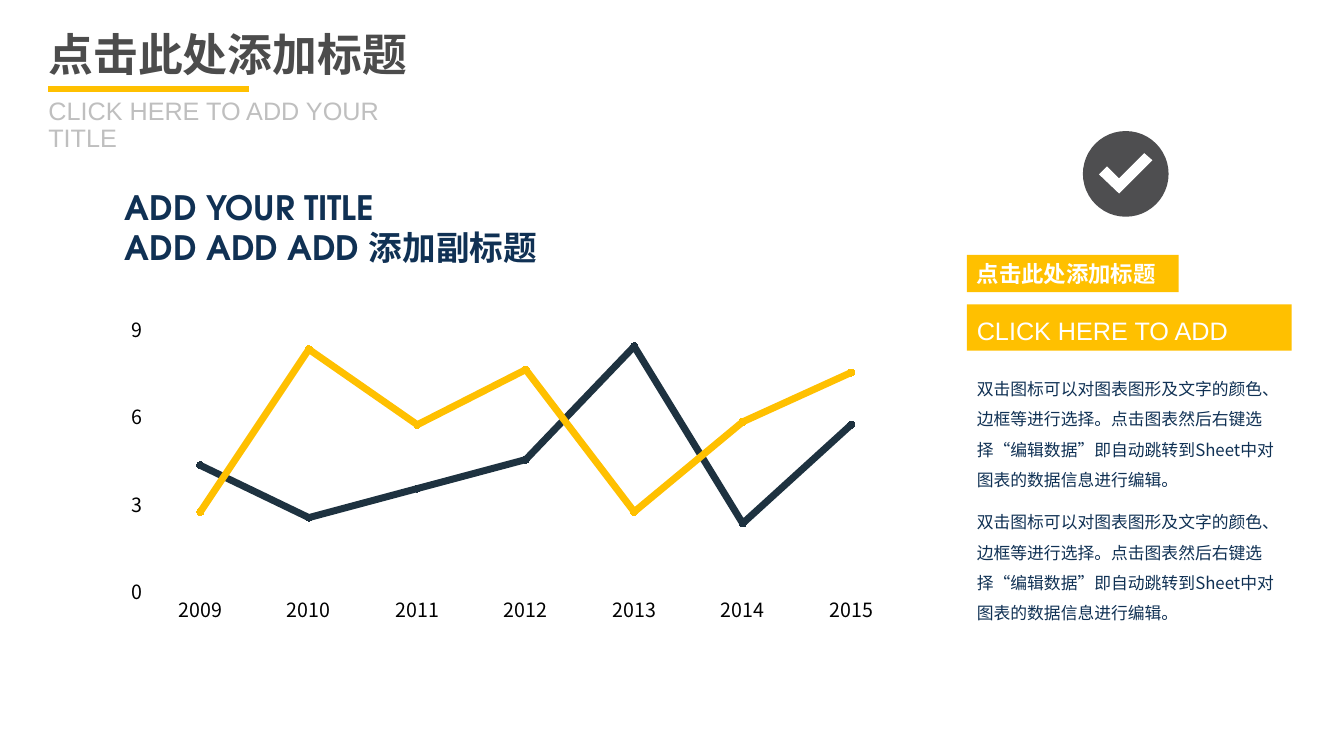
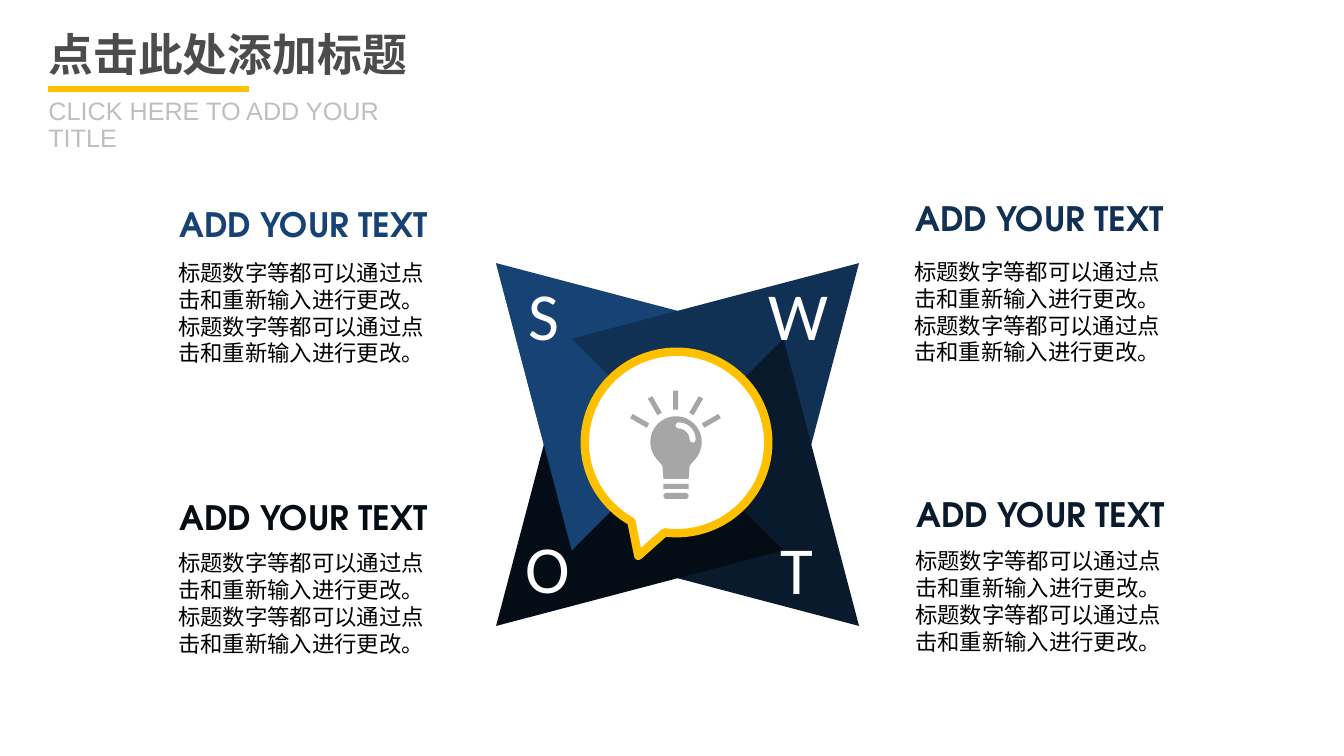
from dataclasses import dataclass
from math import cos, radians, sin

from lxml.etree import SubElement
from pptx import Presentation
from pptx.chart.data import CategoryChartData
from pptx.dml.color import RGBColor
from pptx.enum.chart import XL_CHART_TYPE as Chart, XL_MARKER_STYLE as Marker, XL_TICK_MARK as Tick
from pptx.enum.shapes import MSO_CONNECTOR as Connector, MSO_SHAPE as Shape
from pptx.enum.text import MSO_ANCHOR as Anchor, MSO_AUTO_SIZE as AutoSize, PP_ALIGN as Align
from pptx.oxml.ns import qn
from pptx.util import Emu, Pt


@dataclass(frozen=True)
class Theme:
    yellow: str = "FFC000"
    white: str = "FFFFFF"
    black: str = "000000"
    title: str = "4C4C4C"
    subtitle: str = "BFBFBF"
    badge: str = "4E4E50"
    icon: str = "A6A6A6"
    blue: str = "164374"
    navy: str = "103154"
    ink: str = "091A2D"
    night: str = "040D16"
    slate: str = "1E3240"
    cjk: str = "Noto Sans CJK SC"
    latin: str = "Arial"
    display: str = "TeX Gyre Adventor"
    letter: str = "Calibri"
    title_size: int = 32
    heading_size: int = 24
    subtitle_size: int = 18
    body_size: int = 16
    axis_size: int = 14
    note_size: int = 12
    letter_size: int = 48


T = Theme()


def px(n):
    return Emu(round(n * 9144))


def rgb(color):
    return RGBColor.from_string(color)


def write(tf, text, size, color, font=T.cjk, bold=False, spacing=None,
          anchor=Anchor.TOP, wrap=True, fit=AutoSize.NONE):
    tf.word_wrap = wrap
    tf.auto_size = fit
    tf.vertical_anchor = anchor
    for i, line in enumerate(text.split("\n")):
        p = tf.add_paragraph() if i else tf.paragraphs[0]
        p.alignment = Align.LEFT
        p.space_before = Pt(0)
        if spacing:
            p.line_spacing = spacing
        r = p.add_run()
        r.text = line
        r.font.size = Pt(size)
        r.font.bold = bold
        r.font.color.rgb = rgb(color)
        r.font.name = font
        SubElement(r.font._element, qn("a:ea")).set("typeface", T.cjk)


class Deck:
    def __init__(self):
        self.prs = Presentation()
        self.prs.slide_width, self.prs.slide_height = px(1333), px(750)

    def new_slide(self, title, subtitle):
        self.slide = self.prs.slides.add_slide(self.prs.slide_layouts[2])
        self.shapes = self.slide.shapes
        self.placeholder(0, (38, 27, 539, 60), title, size=T.title_size, color=T.title,
                         bold=True, spacing=0.9, anchor=Anchor.MIDDLE)
        self.placeholder(1, (38, 93, 375, 46), subtitle, size=T.subtitle_size,
                         color=T.subtitle, font=T.latin, spacing=0.9)
        self.line(48, 88, 247, 88, T.yellow, 4.5)

    def placeholder(self, idx, box, text, **fmt):
        sp = self.slide.placeholders[idx]
        sp.left, sp.top, sp.width, sp.height = map(px, box)
        write(sp.text_frame, text, **fmt)

    def line(self, x1, y1, x2, y2, color, width):
        c = self.shapes.add_connector(Connector.STRAIGHT, px(x1), px(y1), px(x2), px(y2))
        c.line.color.rgb = rgb(color)
        c.line.width = Pt(width)
        SubElement(c._element.spPr, qn("a:effectLst"))

    def text(self, box, text, **fmt):
        sp = self.shapes.add_textbox(*map(px, box))
        write(sp.text_frame, text, **fmt)

    def label(self, box, text, **fmt):
        self.text(box, text, wrap=False, fit=AutoSize.SHAPE_TO_FIT_TEXT, **fmt)

    def paint(self, sp, fill=None, line=None, width=0):
        sp.shadow.inherit = False
        if fill:
            sp.fill.solid()
            sp.fill.fore_color.rgb = rgb(fill)
        else:
            sp.fill.background()
        if line:
            sp.line.color.rgb = rgb(line)
            sp.line.width = Pt(width)
        else:
            sp.line.fill.background()
        return sp

    def shape(self, kind, box, fill=None, **style):
        return self.paint(self.shapes.add_shape(kind, *map(px, box)), fill, **style)

    def polygon(self, points, fill):
        start, *rest = [(px(x), px(y)) for x, y in points]
        builder = self.shapes.build_freeform(*start)
        builder.add_line_segments(rest, close=True)
        return self.paint(builder.convert_to_shape(), fill)

    def line_chart(self, box, categories, series):
        data = CategoryChartData(number_format="0")
        data.categories = categories
        for name, values, *_ in series:
            data.add_series(name, values)
        chart = self.shapes.add_chart(Chart.LINE_MARKERS, *map(px, box), data).chart
        chart.has_legend = False
        chart.has_title = False
        chart.font.size = Pt(T.subtitle_size)
        chart.font.name = T.cjk
        chart.font.color.rgb = rgb(T.black)
        for axis in (chart.category_axis, chart.value_axis):
            axis.has_major_gridlines = False
            axis.major_tick_mark = axis.minor_tick_mark = Tick.NONE
            axis.format.line.fill.background()
            axis.tick_labels.font.size = Pt(T.axis_size)
        axis.minimum_scale, axis.maximum_scale, axis.major_unit = 0, 9, 3
        plot = chart.plots[0]
        plot.vary_by_categories = False
        for s, (_, _, color, dot) in zip(plot.series, series):
            s.smooth = False
            s.format.line.color.rgb = rgb(color)
            s.format.line.width = Pt(5)
            s.marker.style, s.marker.size = Marker.CIRCLE, 5
            s.marker.format.fill.solid()
            s.marker.format.fill.fore_color.rgb = rgb(dot)
            s.marker.format.line.fill.background()

    def check_badge(self):
        self.shape(Shape.OVAL, (1074, 130, 85, 85), T.badge)
        self.polygon([(1110, 192), (1090, 173), (1098, 165), (1110, 177),
                      (1135, 152), (1143, 159)], T.white)

    def swot_star(self, cx, cy, colors):
        petal = [(180, -180), (105, 105), (63, 63), (63, -63), (-63, -63), (-105, -105)]
        petals = []
        for _ in colors:
            petals.append([(cx + x, cy + y) for x, y in petal])
            petal = [(-y, x) for x, y in petal]
        for i in (3, 0, 1, 2):
            self.polygon(petals[i], colors[i])
        self.polygon(petals[3][:1] + petals[3][3:], colors[3])

    def light_bulb(self):
        page = self.shapes
        self.shapes = page.add_group_shape().shapes
        self.shape(Shape.OVAL, (645, 413, 51, 51), T.icon)
        self.polygon([(648, 451), (657, 462), (658, 475), (683, 475), (684, 462), (693, 451)], T.icon)
        shine = self.shape(Shape.ARC, (659, 422, 28, 28), line=T.white, width=4.3)
        shine.line._get_or_add_ln().set("cap", "rnd")
        self.shape(Shape.RECTANGLE, (658, 480, 25, 5), T.icon)
        self.shape(Shape.ROUNDED_RECTANGLE, (658, 489, 25, 6), T.icon).adjustments[0] = 0.5
        for angle in range(-60, 61, 30):
            x, y = 670 + 41 * sin(radians(angle)), 438 - 41 * cos(radians(angle))
            ray = self.shape(Shape.RECTANGLE, (x - 2.5, y - 9.5, 5, 19), T.icon)
            ray.rotation = angle
        self.shapes = page


def chart_slide(deck):
    deck.line_chart((114, 306, 800, 318), [str(y) for y in range(2009, 2016)], [
        ("Series 1", (4.3, 2.5, 3.5, 4.5, 8.4, 2.3, 5.7), T.slate, T.ink),
        ("Series 2", (2.7, 8.3, 5.7, 7.6, 2.7, 5.8, 7.5), T.yellow, T.yellow),
    ])
    note = "双击图标可以对图表图形及文字的颜色、边框等进行选择。点击图表然后右键选择“编辑数据”即自动跳转到Sheet中对图表的数据信息进行编辑。"
    for top in (361, 493):
        deck.text((959, top, 322, 131), note, size=T.note_size, color=T.navy, spacing=1.5)
    deck.check_badge()
    deck.text((114, 180, 775, 91), "ADD YOUR TITLE\nADD ADD ADD 添加副标题",
              size=T.heading_size, color=T.navy, font=T.display, bold=True)
    deck.shape(Shape.RECTANGLE, (959, 302, 322, 46), T.yellow)
    deck.shape(Shape.RECTANGLE, (959, 253, 210, 37), T.yellow)
    deck.text((959, 308, 313, 40), "CLICK HERE TO ADD", size=T.subtitle_size,
              color=T.white, font=T.latin)
    deck.label((959, 253, 200, 37), "点击此处添加标题", size=T.body_size, color=T.white, bold=True)


def swot_slide(deck):
    deck.swot_star(672, 441, (T.navy, T.ink, T.night, T.blue))
    for letter, left, top, width in (("W", 752, 266, 88), ("T", 764, 518, 67),
                                     ("O", 511, 517, 71), ("S", 514, 266, 60)):
        deck.label((left, top, width, 91), letter, size=T.letter_size, color=T.white, font=T.letter)
    body = "标题数字等都可以通过点击和重新输入进行更改。" * 2
    for left, head_top, body_top, color in ((168, 197, 252, T.blue), (168, 488, 540, T.night),
                                            (898, 191, 251, T.navy), (899, 485, 538, T.ink)):
        deck.label((left, head_top, 270, 50), "ADD YOUR TEXT", size=T.heading_size,
                   color=color, font=T.display, bold=True)
        deck.text((left - 1, body_top, 270, 145), body, size=T.body_size, color=T.black)
    deck.shape(Shape.OVAL_CALLOUT, (580, 349, 182, 180), T.white, line=T.yellow, width=6)
    deck.light_bulb()


def main():
    deck = Deck()
    for build in (chart_slide, swot_slide):
        deck.new_slide("点击此处添加标题", "CLICK HERE TO ADD YOUR TITLE")
        build(deck)
    deck.prs.save("out.pptx")


if __name__ == "__main__":
    main()
